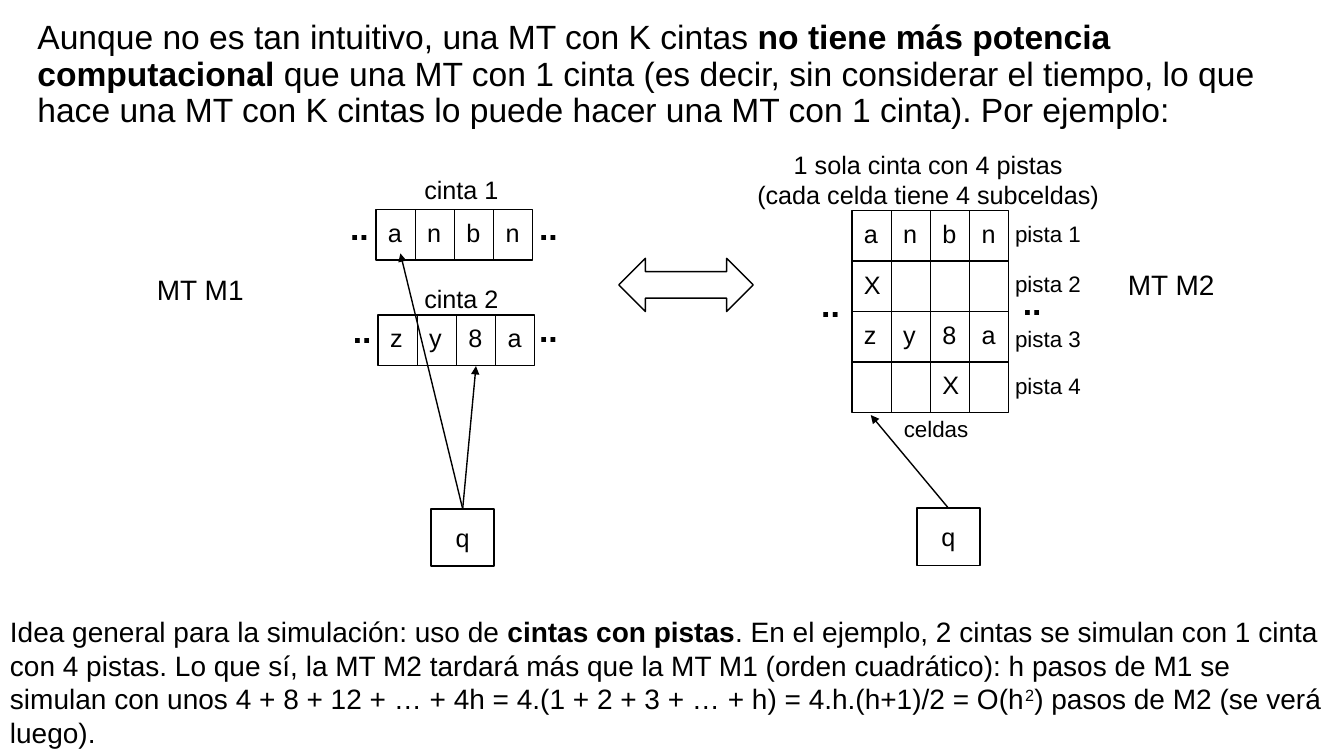
from lxml import etree
from pptx import Presentation
from pptx import util as u
from pptx.dml import color
from pptx.enum import shapes, text
from pptx.oxml import ns

PRESET = shapes.MSO_SHAPE
ALIGN = text.PP_ALIGN
CELL_WIDTH, CELL_HEIGHT = 28, 36


def rgb(code):
    return color.RGBColor.from_string(code)


class Diagram:
    font = "Arial"
    ink = "000000"
    paper = "FFFFFF"

    def __init__(self, slide):
        self.slide = slide

    def fill_text(self, frame, paragraphs, size, bold=False, align=ALIGN.LEFT, spacing=1.0):
        for index, runs in enumerate(paragraphs):
            paragraph = frame.add_paragraph() if index else frame.paragraphs[0]
            paragraph.alignment = align
            paragraph.line_spacing = spacing
            paragraph.font.name = self.font
            paragraph.font.size = u.Pt(size)
            paragraph.font.bold = bold
            paragraph.font.color.rgb = rgb(self.ink)
            for words, style in runs:
                run = paragraph.add_run()
                run.text = words
                if style == "bold":
                    run.font.bold = True
                elif style == "super":
                    run.font._element.set("baseline", "30000")

    def heading(self, left, top, width, height, runs, size):
        title = self.slide.shapes.title
        title.left, title.top = u.Pt(left), u.Pt(top)
        title.width, title.height = u.Pt(width), u.Pt(height)
        frame = title.text_frame
        frame.word_wrap = True
        frame.auto_size = text.MSO_AUTO_SIZE.NONE
        frame.vertical_anchor = text.MSO_ANCHOR.MIDDLE
        self.fill_text(frame, [runs], size, spacing=0.9)

    def passage(self, left, top, width, height, paragraphs, size, **style):
        box = self.slide.shapes.add_textbox(u.Pt(left), u.Pt(top), u.Pt(width), u.Pt(height))
        box.text_frame.word_wrap = True
        self.fill_text(box.text_frame, paragraphs, size, **style)

    def label(self, left, top, words, size=18, width=80, **style):
        self.passage(left, top, width, size * 1.2 + 7.2, [[(words, None)]], size, **style)

    def outline(self, preset, left, top, width, height, fill=None):
        shape = self.slide.shapes.add_shape(
            preset, u.Pt(left), u.Pt(top), u.Pt(width), u.Pt(height))
        shape.shadow.inherit = False
        if fill:
            shape.fill.solid()
            shape.fill.fore_color.rgb = rgb(fill)
        else:
            shape.fill.background()
        shape.line.color.rgb = rgb(self.ink)
        shape.line.width = u.Pt(1)
        return shape

    def line(self, start, end, weight):
        connector = self.slide.shapes.add_connector(
            shapes.MSO_CONNECTOR.STRAIGHT, *(u.Pt(value) for value in (*start, *end)))
        connector.line.color.rgb = rgb(self.ink)
        connector.line.width = u.Pt(weight)
        etree.SubElement(connector._element.spPr, ns.qn("a:effectLst"))
        return connector

    def tape(self, left, top, symbols):
        self.outline(PRESET.FLOWCHART_PROCESS, left, top,
                     CELL_WIDTH * len(symbols), CELL_HEIGHT)
        for index, symbol in enumerate(symbols):
            edge = left + CELL_WIDTH * index
            if index:
                self.line((edge, top), (edge, top + CELL_HEIGHT + 0.5), 0.5)
            if symbol.strip():
                self.label(edge + 1.5, top + 2, symbol, width=32)

    def continuation(self, left, top):
        self.label(left, top, "..", size=24, width=32, bold=True)

    def control(self, left, top, targets):
        state = self.outline(PRESET.RECTANGLE, left, top, 45, 41)
        state.text_frame.vertical_anchor = text.MSO_ANCHOR.MIDDLE
        self.fill_text(state.text_frame, [[("q", None)]], 18, align=ALIGN.CENTER)
        for target in targets:
            head = self.line((left + 22.5, top), target, 1)
            head.begin_connect(state, 0)
            etree.SubElement(head.line._get_or_add_ln(), ns.qn("a:tailEnd"), type="triangle")


def main():
    deck = Presentation()
    deck.slide_width, deck.slide_height = u.Pt(960), u.Pt(540)
    diagram = Diagram(deck.slides.add_slide(deck.slide_layouts[5]))

    diagram.heading(19.5, 14.5, 927.5, 78.5, [
        ("Aunque no es tan intuitivo, una MT con K cintas ", None),
        ("no tiene más potencia computacional ", "bold"),
        ("que una MT con 1 cinta (es decir, sin considerar el tiempo, lo que hace "
         "una MT con K cintas lo puede hacer una MT con 1 cinta). Por ejemplo:", None),
    ], 24)

    diagram.label(105, 191, "MT M1", size=20, width=94)
    diagram.label(296, 121, "cinta 1")
    diagram.tape(268.5, 149.75, "anbn")
    diagram.label(296, 199, "cinta 2")
    diagram.tape(270, 225, "zy8a")
    for left, top in ((243, 144), (378, 144), (245, 218), (378, 217)):
        diagram.continuation(left, top)
    diagram.control(308, 363.5, [(286, 181), (340, 261.5)])

    diagram.outline(PRESET.LEFT_RIGHT_ARROW, 442, 184.5, 96, 38, diagram.paper)

    diagram.label(798.5, 187.5, "MT M2", size=20, width=84)
    diagram.passage(530, 103, 266, 51, [
        [("1 sola cinta con 4 pistas", None)],
        [("(cada celda tiene 4 subceldas)", None)],
    ], 18, align=ALIGN.CENTER)
    tracks = (("anbn", 154), ("X   ", 189.5), ("zy8a", 228.5), ("  X ", 262))
    for index, (symbols, label_top) in enumerate(tracks):
        diagram.tape(608.5, 150.5 + CELL_HEIGHT * index, symbols)
        diagram.label(718, label_top, f"pista {index + 1}", size=16)
    diagram.continuation(579.5, 199)
    diagram.continuation(723.5, 198)
    diagram.label(638.5, 293, "celdas", size=16)
    diagram.control(655, 363, [(622, 296.5)])

    diagram.passage(0, 435.5, 960, 104, [[
        ("Idea general para la simulación: uso de ", None),
        ("cintas con pistas", "bold"),
        (". En el ejemplo, 2 cintas se simulan con 1 cinta con 4 pistas. Lo que sí, "
         "la MT M2 tardará más que la MT M1 (orden cuadrático): h pasos de M1 se "
         "simulan con unos 4 + 8 + 12 + … + 4h = 4.(1 + 2 + 3 + … + h) = "
         "4.h.(h+1)/2 = O(h", None),
        ("2", "super"),
        (") pasos de M2 (se verá luego).", None),
    ]], 20)

    deck.save("out.pptx")


if __name__ == "__main__":
    main()
